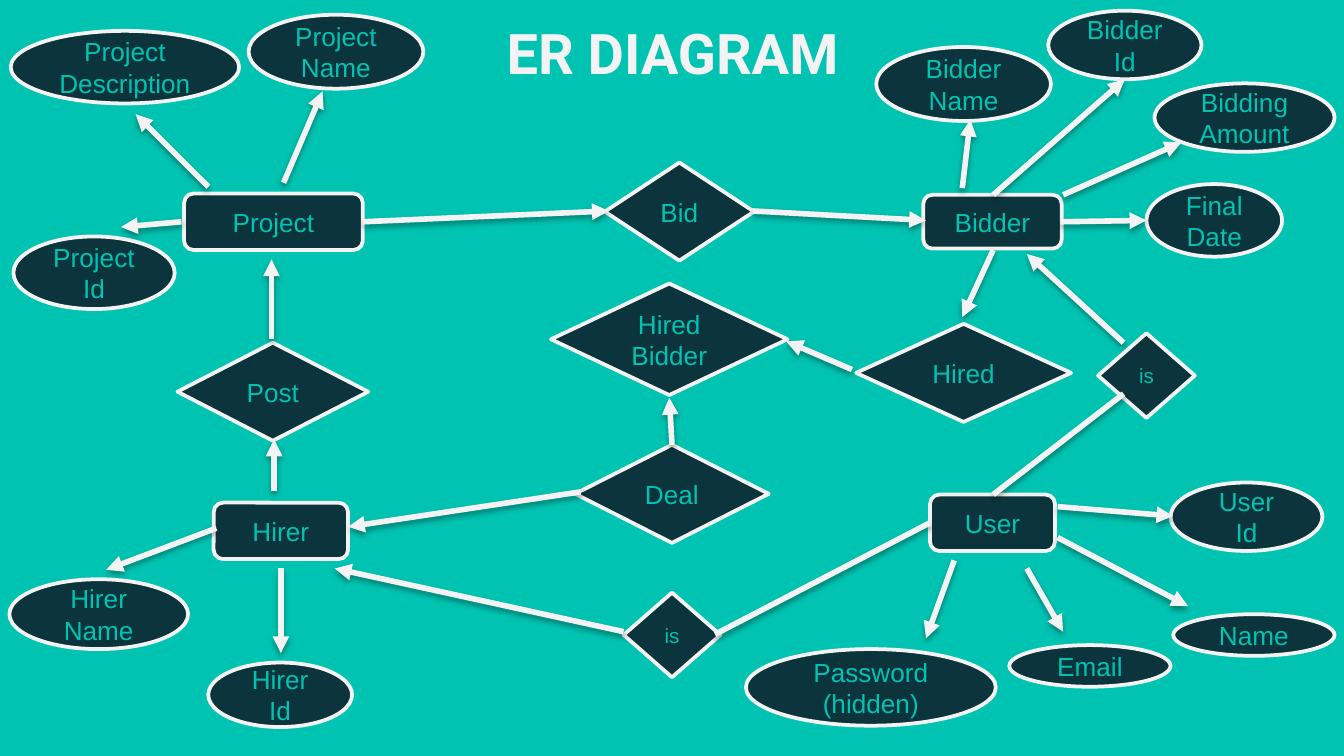
import lxml.etree
import pptx
import pptx.dml.color
import pptx.enum.shapes
import pptx.enum.text
import pptx.oxml
import pptx.oxml.ns
import pptx.util
from pptx.util import Inches

COLORS = {
    "background": "00C3B1",
    "node": "0C343D",
    "outline": "F3F3F3",
    "label": "00C3B1",
    "shadow": "000000",
}

SHAPES = pptx.enum.shapes.MSO_SHAPE
CENTER = pptx.enum.text.PP_ALIGN.CENTER

# Label, left, top, width, height
ENTITIES = [
    ("User", 6.92, 3.68, 0.93, 0.42),
    ("Bidder", 6.87, 1.45, 1.03, 0.4),
    ("Hirer", 1.59, 3.74, 1, 0.42),
    ("Project", 1.37, 1.44, 1.33, 0.42),
]
ATTRIBUTES = [
    ("User Id", 8.71, 3.59, 1.13, 0.51),
    ("Name", 8.73, 4.57, 1.2, 0.31),
    ("Password (hidden)", 5.55, 4.83, 1.86, 0.57),
    ("Email", 7.51, 4.8, 1.2, 0.31),
    ("Final Date", 8.53, 1.37, 1.01, 0.54),
    ("Bidder Name", 6.52, 0.35, 1.3, 0.55),
    ("Bidding Amount", 8.59, 0.62, 1.34, 0.51),
    ("Bidder Id", 7.8, 0.08, 1.14, 0.51),
    ("Hirer Name", 0.07, 4.31, 1.33, 0.52),
    ("Hirer Id", 1.55, 4.93, 1.07, 0.48),
    ("Project Name", 1.85, 0.11, 1.3, 0.55),
    ("Project Description", 0.08, 0.23, 1.7, 0.54),
    ("Project Id", 0.1, 1.76, 1.2, 0.54),
]
RELATIONSHIPS = [
    ("Post", 1.32, 2.55, 1.42, 0.73),
    ("Bid", 4.5, 1.21, 1.11, 0.73),
    ("Hired Bidder", 4.1, 2.11, 1.76, 0.83),
    ("Deal", 4.28, 3.31, 1.44, 0.73),
    ("Hired", 6.37, 2.41, 1.6, 0.73),
]
IS_RELATIONSHIPS = [
    ("is", 8.17, 2.48, 0.72, 0.63),
    ("is", 4.64, 4.41, 0.72, 0.63),
]

# Start x, start y, end x, end y
ARROWS = [
    # Hirer and project
    (2.09, 4.23, 2.09, 4.86),
    (2.11, 1.36, 2.4, 0.68),
    (2.02, 2.52, 2.02, 1.93),
    (2.04, 3.65, 2.04, 3.27),
    (1.61, 3.93, 0.79, 4.24),
    (1.55, 1.39, 1.01, 0.85),
    (1.35, 1.65, 0.9, 1.69),
    # Bid and bidder
    (2.7, 1.65, 4.53, 1.57),
    (5.6, 1.57, 6.89, 1.64),
    (7.91, 1.45, 8.79, 1.06),
    (7.16, 1.4, 7.22, 0.89),
    (7.39, 1.45, 8.37, 0.59),
    (7.89, 1.65, 8.53, 1.64),
    # Hired bidder and deal
    (7.39, 1.86, 7.16, 2.36),
    (6.34, 2.75, 5.85, 2.54),
    (5, 3.31, 4.98, 2.96),
    (4.32, 3.66, 2.59, 3.92),
    # User
    (4.64, 4.7, 2.49, 4.23),
    (7.1, 4.17, 6.89, 4.75),
    (7.87, 3.77, 8.73, 3.84),
    (7.87, 4, 8.84, 4.51),
    (7.64, 4.23, 7.91, 4.7),
    (8.36, 2.55, 7.64, 1.89),
]
PLAIN_LINES = [
    (5.32, 4.72, 6.92, 3.89),
    (7.39, 3.68, 8.36, 2.93),
]


def color(name):
    return pptx.dml.color.RGBColor.from_string(COLORS[name])


def write_text(shape, text, font_name, size, color_name, bold=False):
    shape.text_frame.word_wrap = True
    paragraph = shape.text_frame.paragraphs[0]
    paragraph.text = text
    paragraph.alignment = CENTER
    paragraph.font.name = font_name
    paragraph.font.size = pptx.util.Pt(size)
    paragraph.font.bold = bold
    paragraph.font.color.rgb = color(color_name)


def add_title(slide, text):
    title = slide.shapes.add_textbox(Inches(0.2), Inches(0.04), Inches(9.61), Inches(0.63))
    frame = title.text_frame
    frame.margin_left = frame.margin_right = Inches(0.1)
    frame.margin_top = frame.margin_bottom = Inches(0.1)
    write_text(title, text, "Roboto", 30, "outline", bold=True)


def add_node(slide, kind, label, box, size):
    shape = slide.shapes.add_shape(kind, *map(Inches, box))
    shape.shadow.inherit = False
    shape.fill.solid()
    shape.fill.fore_color.rgb = color("node")
    shape.line.color.rgb = color("outline")
    shape.line.width = pptx.util.Pt(2)
    shape.text_frame.vertical_anchor = pptx.enum.text.MSO_ANCHOR.MIDDLE
    write_text(shape, label, "Arial", size, "label")


def add_shadow(properties):
    """Soft shadow straight below the line."""
    qn = pptx.oxml.ns.qn
    effects = lxml.etree.SubElement(properties, qn("a:effectLst"))
    shadow = lxml.etree.SubElement(
        effects, qn("a:outerShdw"),
        blurRad=str(pptx.util.Pt(3.1)), dist=str(pptx.util.Pt(1.8)),
        dir="5400000", rotWithShape="0",
    )
    shade = lxml.etree.SubElement(shadow, qn("a:srgbClr"), val=COLORS["shadow"])
    lxml.etree.SubElement(shade, qn("a:alpha"), val="35000")


def add_link(slide, ends, arrow=True):
    connector = slide.shapes.add_connector(
        pptx.enum.shapes.MSO_CONNECTOR.STRAIGHT, *map(Inches, ends)
    )
    connector.line.color.rgb = color("outline")
    connector.line.width = pptx.util.Pt(3)
    qn = pptx.oxml.ns.qn
    properties = connector.element.find(qn("p:spPr"))
    if arrow:
        line = properties.find(qn("a:ln"))
        lxml.etree.SubElement(line, qn("a:tailEnd"), type="triangle")
    add_shadow(properties)


def main():
    # Widescreen slide, 16:9
    presentation = pptx.Presentation()
    presentation.slide_width = Inches(10)
    presentation.slide_height = Inches(10) * 9 // 16
    slide = presentation.slides.add_slide(presentation.slide_layouts[6])
    slide.background.fill.solid()
    slide.background.fill.fore_color.rgb = color("background")

    add_title(slide, "ER DIAGRAM")

    # Entities, attributes and relationships
    for kind, nodes, size in (
        (SHAPES.ROUNDED_RECTANGLE, ENTITIES, 14),
        (SHAPES.OVAL, ATTRIBUTES, 14),
        (SHAPES.DIAMOND, RELATIONSHIPS, 14),
        (SHAPES.DIAMOND, IS_RELATIONSHIPS, 11),
    ):
        for label, *box in nodes:
            add_node(slide, kind, label, box, size)

    # Links
    for ends in ARROWS:
        add_link(slide, ends)
    for ends in PLAIN_LINES:
        add_link(slide, ends, arrow=False)

    presentation.save("out.pptx")


if __name__ == "__main__":
    main()
